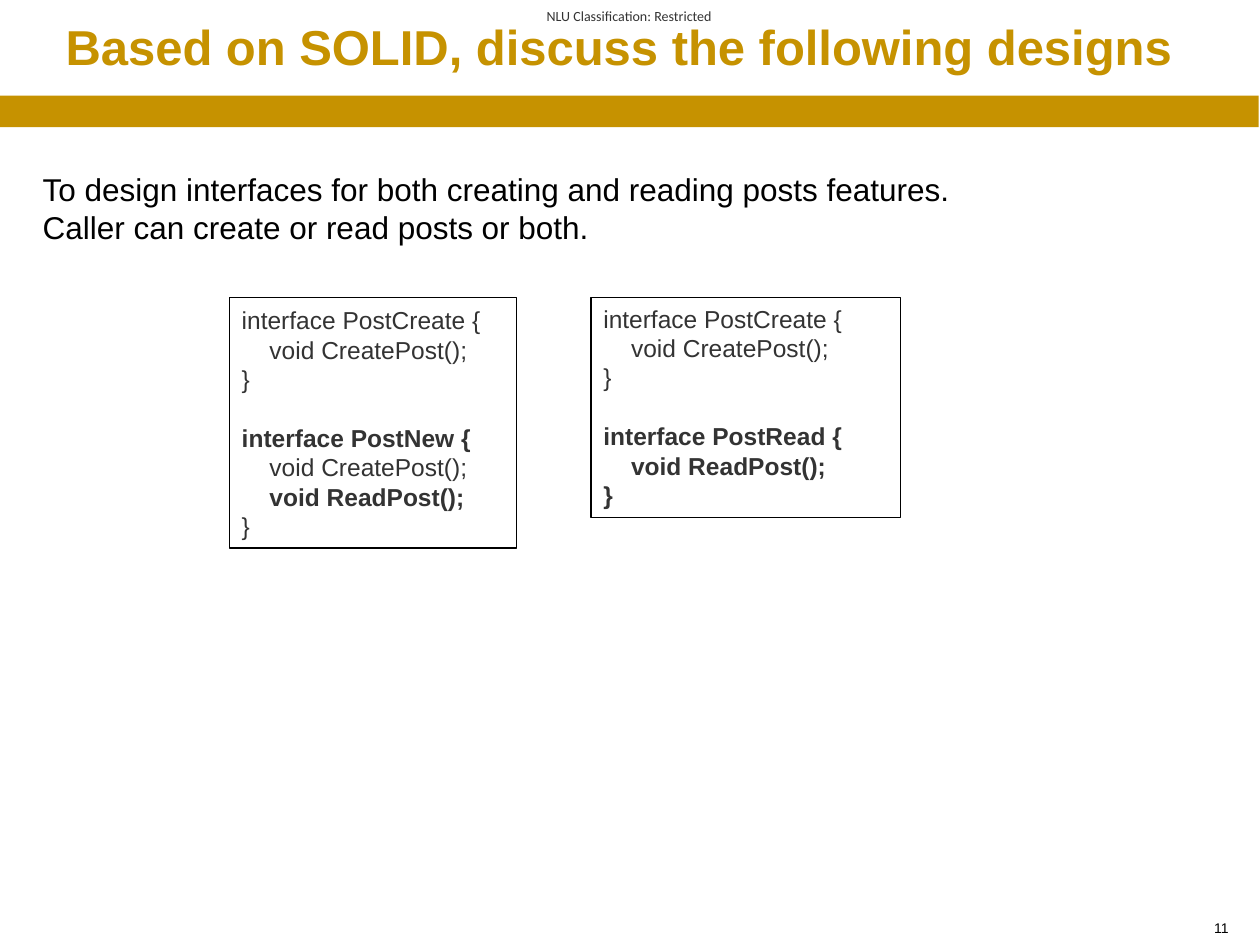
import pptx
import pptx.util
import pptx.dml.color
import pptx.enum.shapes
import pptx.enum.text
import pptx.oxml

Inches = pptx.util.Inches
Pt = pptx.util.Pt
ALIGN = pptx.enum.text.PP_ALIGN
ANCHOR = pptx.enum.text.MSO_ANCHOR
COLORS = {"gold": "C69200", "ink": "333333", "black": "000000"}

TITLE = "Based on SOLID, discuss the following designs"
CLASSIFICATION = "NLU Classification: Restricted"
TASK = ("To design interfaces for both creating and reading posts features. "
        "Caller can create or read posts or both.")
PAGE_NUMBER = "11"
CREATE = [("interface PostCreate {", False), ("void CreatePost();", False), ("}", False)]
DESIGNS = [
    {"area": (1.82, 2.36, 2.28, 1.99), "anchor": ANCHOR.MIDDLE,
     "lines": CREATE + [("interface PostNew {", True), ("void CreatePost();", False),
                        ("void ReadPost();", True), ("}", False)]},
    {"area": (4.69, 2.36, 2.46, 1.75), "anchor": ANCHOR.TOP,
     "lines": CREATE + [("interface PostRead {", True), ("void ReadPost();", True),
                        ("}", True)]},
]
BLANK_LINE = Pt(16.8)
CODE_INDENT = Inches(0.22)


def color(name):
    return pptx.dml.color.RGBColor.from_string(COLORS[name])


def place(box, area):
    box.left, box.top, box.width, box.height = map(Inches, area)


def apply(target, values):
    for name, value in values.items():
        setattr(target, name, value)


def style_frame(frame, anchor=ANCHOR.TOP, **values):
    apply(frame, {"word_wrap": True, "vertical_anchor": anchor,
                  "auto_size": pptx.enum.text.MSO_AUTO_SIZE.NONE, **values})


def style_para(para, size, ink, bold=False, font="Arial", **values):
    apply(para, values)
    for target in [para.font] + [span.font for span in para.runs]:
        apply(target, {"size": Pt(size), "name": font, "bold": bold})
        target.color.rgb = color(ink)


def add_rectangle(page, area):
    box = page.shapes.add_shape(pptx.enum.shapes.MSO_SHAPE.RECTANGLE, *map(Inches, area))
    box.shadow.inherit = False
    return box


def add_text(page, area, text):
    box = page.shapes.add_textbox(*map(Inches, area))
    style_frame(box.text_frame)
    box.text_frame.text = text
    return box.text_frame


def add_design(page, design):
    box = add_rectangle(page, design["area"])
    box.fill.background()
    box.line.color.rgb = color("black")
    box.line.width = Pt(0.75)
    frame = box.text_frame
    style_frame(frame, design["anchor"])
    frame.text = "\n".join(text for text, bold in design["lines"])
    for index, (text, bold) in enumerate(design["lines"]):
        para = frame.paragraphs[index]
        starts_second = index and text.startswith("interface")
        style_para(para, 14, "ink", bold, alignment=ALIGN.LEFT,
                   space_before=BLANK_LINE if starts_second else Pt(0))
        if text.startswith("void"):
            para._p.get_or_add_pPr().set("marL", str(CODE_INDENT))


def add_page_number(page):
    frame = add_text(page, (8.43, 7.25, 1.42, 0.25), "")
    para = frame.paragraphs[0]
    style_para(para, 8, "black", alignment=ALIGN.RIGHT)
    field = pptx.oxml.parse_xml(
        '<a:fld xmlns:a="http://schemas.openxmlformats.org/drawingml/2006/main" '
        'id="{B6F15528-21DE-4FAA-801E-634DDDAF4B2B}" type="slidenum">'
        '<a:rPr lang="en-US" sz="800"><a:solidFill><a:srgbClr val="%s"/></a:solidFill>'
        '<a:latin typeface="Arial"/></a:rPr><a:t>%s</a:t></a:fld>'
        % (COLORS["black"], PAGE_NUMBER))
    para._p.get_or_add_pPr().addnext(field)


deck = pptx.Presentation()
deck.slide_width, deck.slide_height = Inches(10), Inches(7.5)
deck.element.set("firstSlideNum", PAGE_NUMBER)
page = deck.slides.add_slide(deck.slide_layouts[5])

bar = add_rectangle(page, (-0.01, 0.76, 10, 0.25))
bar.fill.solid()
bar.fill.fore_color.rgb = color("gold")
bar.line.fill.background()

title = page.shapes.title
place(title, (0.42, 0.08, 9.08, 0.57))
title.text_frame.text = TITLE
style_frame(title.text_frame, ANCHOR.MIDDLE)
style_para(title.text_frame.paragraphs[0], 28, "gold", True, alignment=ALIGN.LEFT)

label = add_text(page, (4.18, 0, 1.63, 0.25), CLASSIFICATION)
style_frame(label, ANCHOR.MIDDLE, margin_left=0, margin_right=0, margin_top=0, margin_bottom=0)
style_para(label.paragraphs[0], 8, "ink", font="Calibri", alignment=ALIGN.CENTER)

task = add_text(page, (0.24, 1.3, 7.75, 0.71), TASK)
style_para(task.paragraphs[0], 18, "black")

for design in DESIGNS:
    add_design(page, design)
add_page_number(page)

deck.save("out.pptx")
